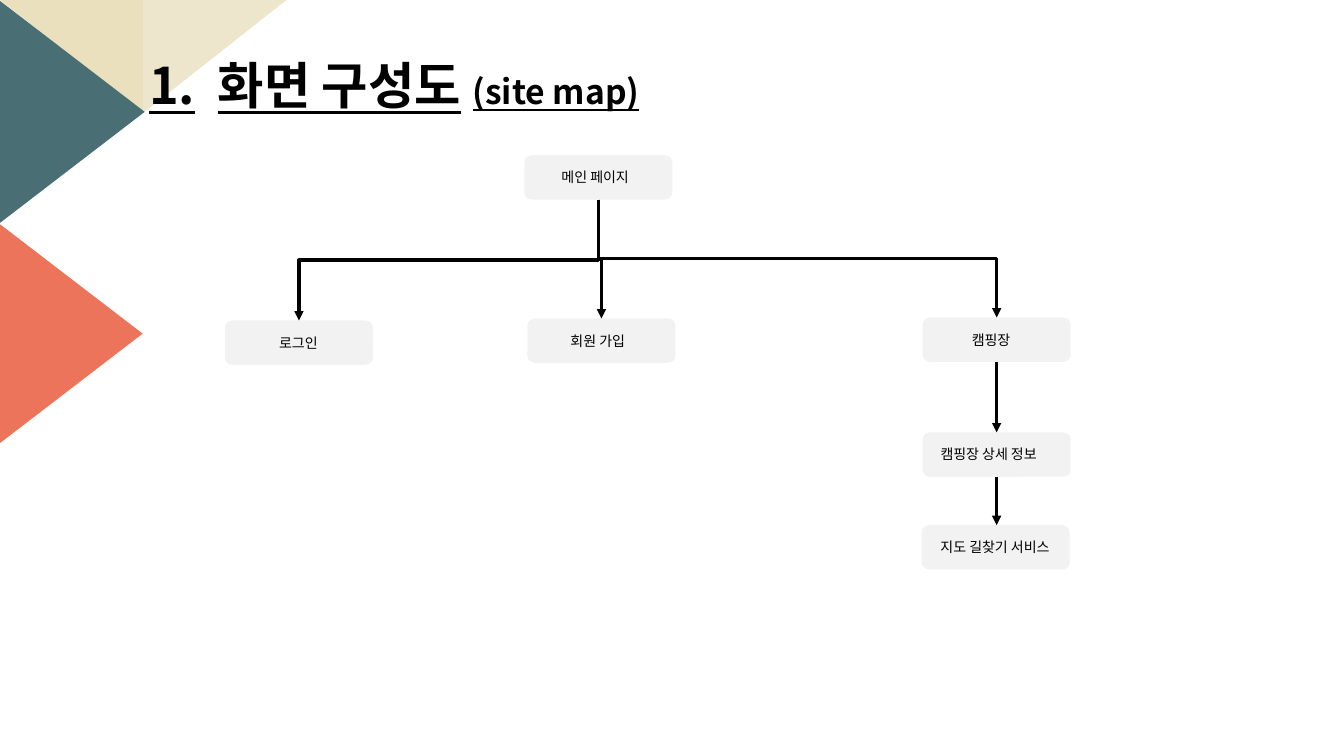
from dataclasses import dataclass

from pptx import Presentation
from pptx import util as u
from pptx.dml.color import RGBColor
from pptx.enum import shapes, text
from pptx.oxml.ns import qn
from lxml import etree


@dataclass(frozen=True)
class Theme:
    font: str = "Noto Sans CJK KR"
    ink: str = "000000"
    node: str = "F2F2F2"
    sand: str = "EAE0BE"
    pale_sand: str = "EEE6CC"
    teal: str = "496F74"
    coral: str = "EC745B"
    title: int = 36
    subtitle: int = 24
    label: int = 10
    line: float = 2.25


NODE_W, NODE_H = 1.47, 0.44
LABEL_H = 0.27
SHAPE = shapes.MSO_SHAPE


class SiteMap:
    def __init__(self, s, theme):
        self.s = s
        self.theme = theme

    def shape(self, kind, box, fill, rotation=0, flip=False, parent=None):
        sp = (parent or self.s).shapes.add_shape(kind, *map(u.Inches, box))
        sp.shadow.inherit = False
        sp.fill.solid()
        sp.fill.fore_color.rgb = RGBColor.from_string(fill)
        sp.line.fill.background()
        sp.rotation = rotation
        if flip:
            sp._element.spPr.find(qn("a:xfrm")).set("flipH", "1")
        return sp

    def text(self, box, runs, size, bold=False, parent=None):
        sp = (parent or self.s).shapes.add_textbox(*map(u.Inches, box))
        tf = sp.text_frame
        tf.word_wrap = True
        tf.auto_size = text.MSO_AUTO_SIZE.SHAPE_TO_FIT_TEXT
        p = tf.paragraphs[0]
        for words, style in runs:
            r = p.add_run()
            r.text = words
            r.font.name = self.theme.font
            r.font.size = u.Pt(style.get("size", size))
            r.font.bold = bold
            r.font.underline = style.get("underline", False)
            r.font.color.rgb = RGBColor.from_string(self.theme.ink)
            rPr = r.font._element
            if "spacing" in style:
                rPr.set("spc", str(style["spacing"] * 100))
            etree.SubElement(rPr, qn("a:ea")).set("typeface", self.theme.font)
        return sp

    def node(self, x, y, label, label_x, label_w):
        group = self.s.shapes.add_group_shape()
        self.shape(SHAPE.ROUNDED_RECTANGLE, (x, y, NODE_W, NODE_H),
                   self.theme.node, parent=group)
        label_y = y + (NODE_H - LABEL_H) / 2
        self.text((label_x, label_y, label_w, LABEL_H), [(label, {})],
                  self.theme.label, parent=group)

    def connector(self, kind, x1, y1, x2, y2):
        c = self.s.shapes.add_connector(kind, *map(u.Inches, (x1, y1, x2, y2)))
        c.line.color.rgb = RGBColor.from_string(self.theme.ink)
        c.line.width = u.Pt(self.theme.line)
        etree.SubElement(c.line._get_or_add_ln(), qn("a:tailEnd")).set("type", "triangle")
        etree.SubElement(c._element.spPr, qn("a:effectLst"))
        return c

    def arrow(self, x, y1, y2):
        return self.connector(shapes.MSO_CONNECTOR.STRAIGHT, x, y1, x, y2)

    def branch(self, x1, y1, x2, y2):
        mid_x, mid_y = (x1 + x2) / 2, (y1 + y2) / 2
        half_w, half_h = (y2 - y1) / 2, abs(x2 - x1) / 2
        c = self.connector(shapes.MSO_CONNECTOR.ELBOW, mid_x - half_w, mid_y - half_h,
                           mid_x + half_w, mid_y + half_h)
        xfrm = c._element.spPr.find(qn("a:xfrm"))
        rightward = x2 > x1
        xfrm.set("rot", str((270 if rightward else 90) * 60000))
        if rightward:
            xfrm.set("flipH", "1")
        return c


prs = Presentation()
prs.slide_width, prs.slide_height = u.Inches(13.33), u.Inches(7.5)
theme = Theme()
site = SiteMap(prs.slides.add_slide(prs.slide_layouts[6]), theme)

site.shape(SHAPE.RIGHT_TRIANGLE, (0, 0, 1.42, 1.12), theme.sand, 180)
site.shape(SHAPE.RIGHT_TRIANGLE, (1.42, 0, 1.42, 1.12), theme.pale_sand, 180, flip=True)
site.shape(SHAPE.ISOSCELES_TRIANGLE, (-0.39, 0.39, 2.21, 1.44), theme.teal, 90)
site.shape(SHAPE.ISOSCELES_TRIANGLE, (-0.41, 2.59, 2.21, 1.44), theme.coral, 90)

underlined = {"underline": True}
site.text((1.38, 0.49, 6.37, 0.71), [
    ("1", underlined),
    (".", {"underline": True, "spacing": 8}),
    (" ", {}),
    ("화면 구성도", underlined),
    (" ", {}),
    ("(site map)", {"underline": True, "size": theme.subtitle}),
], theme.title, bold=True)

main = (5.2, 1.54)
children = [
    (2.23, 3.18, "로그인", 2.67, 0.63),
    (5.23, 3.16, "회원 가입", 5.56, 0.81),
    (9.15, 3.15, "캠핑장", 9.54, 0.65),
]
camp_chain = [
    (9.15, 4.29, "캠핑장 상세 정보", 9.23, 1.32),
    (9.14, 5.21, "지도 길찾기 서비스", 9.23, 1.47),
]

site.node(*main, "메인 페이지", 5.47, 1.01)
for node in children + camp_chain:
    site.node(*node)

for x, y, *_ in children:
    site.branch(main[0] + NODE_W / 2, main[1] + NODE_H, x + NODE_W / 2, y)

camp_x = children[-1][0] + NODE_W / 2
for upper, lower in zip([children[-1]] + camp_chain, camp_chain):
    site.arrow(camp_x, upper[1] + NODE_H, lower[1])

prs.save("out.pptx")
